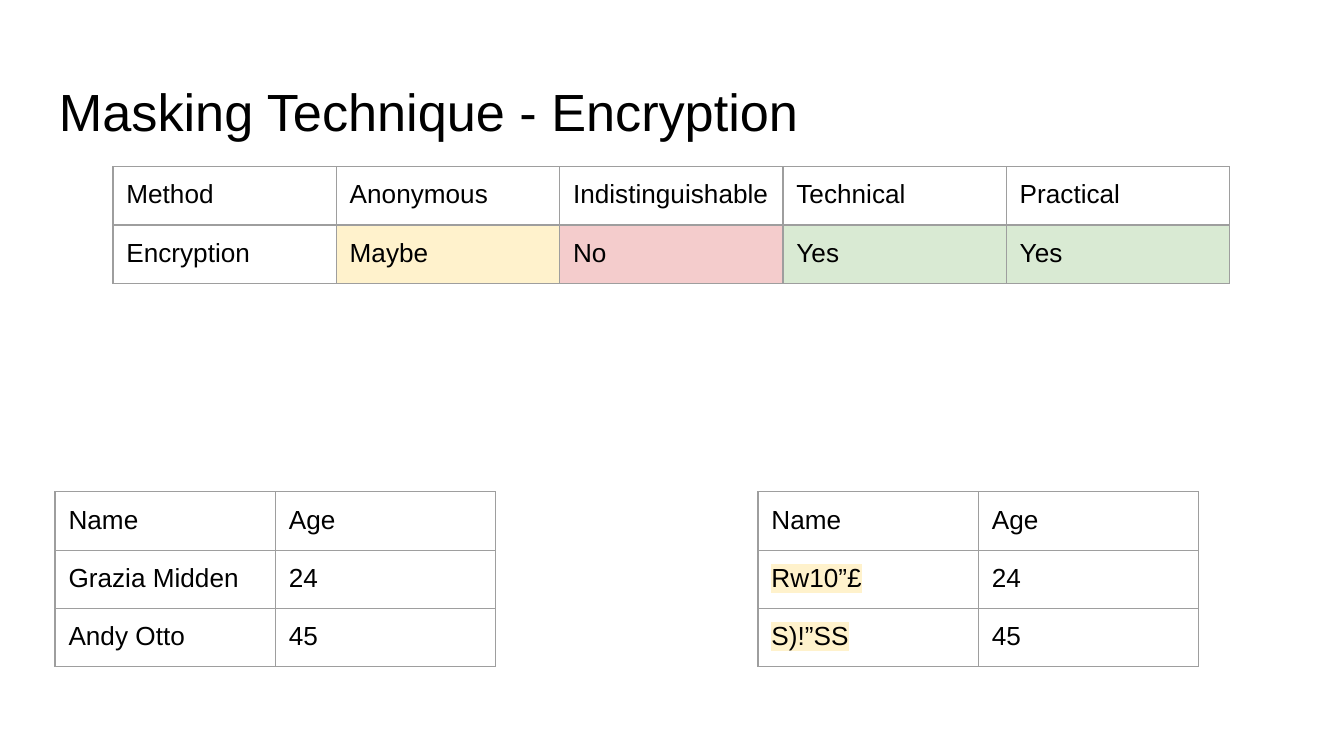
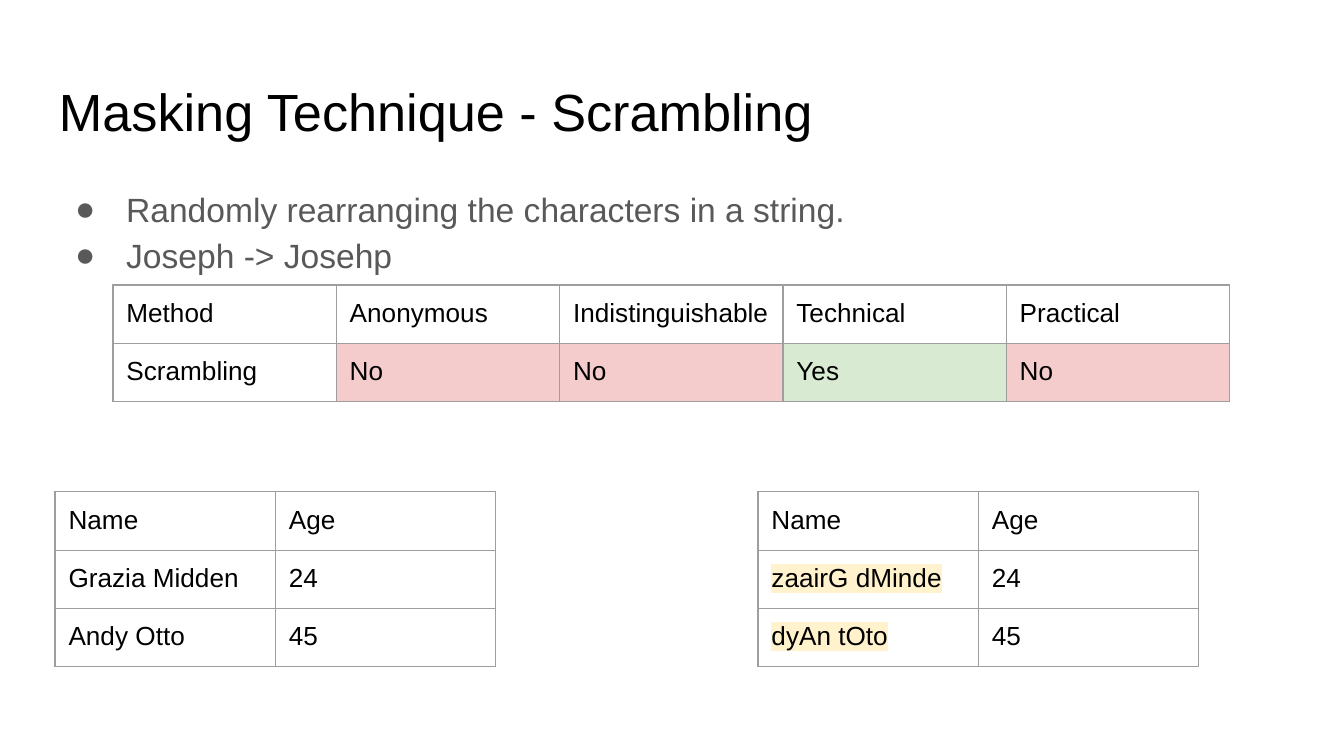
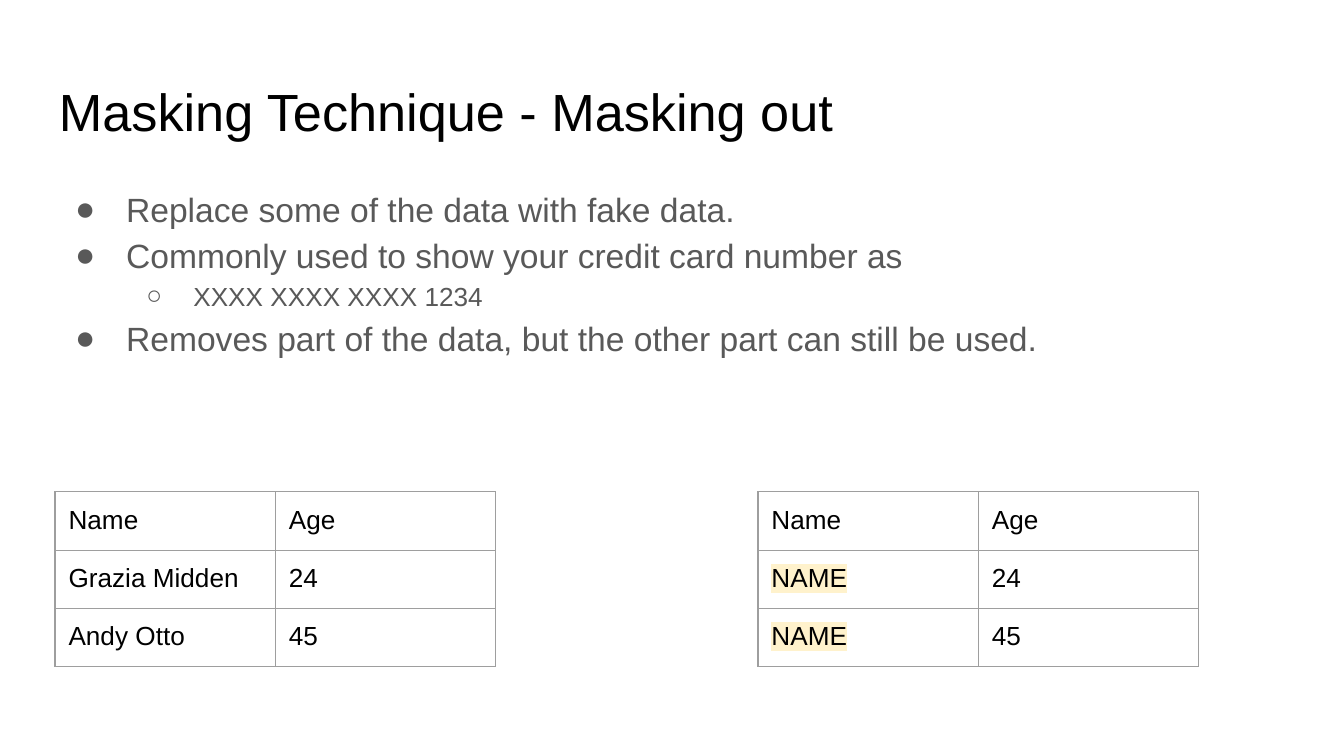
from dataclasses import dataclass

from lxml.etree import SubElement
from pptx import Presentation
from pptx.dml.color import RGBColor
from pptx.enum.text import MSO_ANCHOR
from pptx.oxml import parse_xml
from pptx.oxml.ns import nsdecls, qn
from pptx.util import Inches, Pt


@dataclass(frozen=True)
class Theme:
    font: str = "Arial"
    ink: str = "000000"
    body: str = "595959"
    border: str = "9E9E9E"
    border_width: float = 0.75
    highlight: str = "FFF2CC"
    title_size: int = 28
    body_size: int = 18
    small_size: int = 14
    line_spacing: float = 1.15


THEME = Theme()
INSET = Inches(0.1)
ROW_HEIGHT = Pt(30)
RATINGS = {"Yes": "D9EAD3", "No": "F4CCCC", "Maybe": "FFF2CC"}
CRITERIA = ["Method", "Anonymous", "Indistinguishable", "Technical", "Practical"]
NAMES = ["Grazia Midden", "Andy Otto"]
AGES = ["24", "45"]
BULLETS = [  # character, indent, hanging, size for each level
    ("●", 0.5, 0.38, THEME.body_size),
    ("○", 1, 0.35, THEME.small_size),
]


def style_runs(p, size, color):
    for r in p.runs:
        r.font.name = THEME.font
        r.font.size = Pt(size)
        r.font.color.rgb = RGBColor.from_string(color)


def add_text_frame(s, left, top, width, height):
    tf = s.shapes.add_textbox(
        Inches(left), Inches(top), Inches(width), Inches(height)).text_frame
    tf.word_wrap = True
    tf.vertical_anchor = MSO_ANCHOR.TOP
    tf.margin_left = tf.margin_right = tf.margin_top = tf.margin_bottom = INSET
    return tf


def add_title(s, text):
    tf = add_text_frame(s, 0.34, 0.49, 9.32, 0.63)
    tf.text = text
    style_runs(tf.paragraphs[0], THEME.title_size, THEME.ink)


def add_bullets(s, items):
    tf = add_text_frame(s, 0.34, 1.26, 9.32, 3.74)
    tf.text = "\n".join(text for text, _ in items)
    for p, (_, level) in zip(tf.paragraphs, items):
        char, indent, hanging, size = BULLETS[level]
        p.level = level
        p.line_spacing = THEME.line_spacing
        pPr = p._p.get_or_add_pPr()
        pPr.set("marL", str(Inches(indent)))
        pPr.set("indent", str(-Inches(hanging)))
        color = SubElement(pPr, qn("a:buClr"))
        SubElement(color, qn("a:srgbClr"), val=THEME.body)
        SubElement(pPr, qn("a:buSzPts"), val=str(size * 100))
        SubElement(pPr, qn("a:buFont"), typeface=THEME.font)
        SubElement(pPr, qn("a:buChar"), char=char)
        style_runs(p, size, THEME.body)


def set_borders(cell):
    tcPr = cell._tc.get_or_add_tcPr()
    for i, side in enumerate("LRTB"):
        tcPr.insert(i, parse_xml(
            f'<a:ln{side} {nsdecls("a")} w="{Pt(THEME.border_width)}"><a:solidFill>'
            f'<a:srgbClr val="{THEME.border}"/></a:solidFill></a:ln{side}>'))


def highlight(cell):
    for r in cell.text_frame.paragraphs[0].runs:
        mark = parse_xml(f'<a:highlight {nsdecls("a")}>'
                         f'<a:srgbClr val="{THEME.highlight}"/></a:highlight>')
        r.font._element.find(qn("a:latin")).addprevious(mark)


def add_grid(s, left, top, width, rows):
    table = s.shapes.add_table(
        len(rows), len(rows[0]), Inches(left), Inches(top),
        Inches(width), ROW_HEIGHT * len(rows)).table
    table.first_row = table.horz_banding = False
    for row, texts in zip(table.rows, rows):
        for cell, text in zip(row.cells, texts):
            cell.text = text
            cell.margin_left = cell.margin_right = INSET
            cell.margin_top = cell.margin_bottom = INSET
            cell.fill.background()
            set_borders(cell)
            style_runs(cell.text_frame.paragraphs[0], THEME.small_size, THEME.ink)
    return table


def add_people(s, left, names):
    return add_grid(s, left, 3.66, 3.28, [("Name", "Age"), *zip(names, AGES)])


def add_before_after(s, masked):
    add_people(s, 0.41, NAMES)
    table = add_people(s, 5.64, masked)
    for row in range(1, len(masked) + 1):
        highlight(table.cell(row, 0))


def add_ratings(s, top, method, ratings):
    table = add_grid(s, 0.84, top, 8.31, [CRITERIA, [method, *ratings]])
    table.rows[1].height = Inches(0.43)
    for col, rating in enumerate(ratings, 1):
        fill = table.cell(1, col).fill
        fill.solid()
        fill.fore_color.rgb = RGBColor.from_string(RATINGS[rating])


def add_technique(prs, name, masked, bullets=()):
    s = prs.slides.add_slide(prs.slide_layouts[6])
    add_title(s, f"Masking Technique - {name}")
    if bullets:
        add_bullets(s, bullets)
    add_before_after(s, masked)
    return s


def main():
    prs = Presentation()
    prs.slide_width = Inches(10)
    prs.slide_height = prs.slide_width * 9 // 16

    # Encryption
    s = add_technique(prs, "Encryption", ["Rw10”£", "S)!”SS"])
    add_ratings(s, 1.24, "Encryption", ["Maybe", "No", "Yes", "Yes"])

    # Scrambling
    s = add_technique(prs, "Scrambling", ["zaairG dMinde", "dyAn tOto"], [
        ("Randomly rearranging the characters in a string.", 0),
        ("Joseph -> Josehp", 0),
    ])
    add_ratings(s, 2.12, "Scrambling", ["No", "No", "Yes", "No"])

    # Masking out
    add_technique(prs, "Masking out", ["NAME", "NAME"], [
        ("Replace some of the data with fake data.", 0),
        ("Commonly used to show your credit card number as", 0),
        ("XXXX XXXX XXXX 1234", 1),
        ("Removes part of the data, but the other part can still be used.", 0),
    ])

    prs.save("out.pptx")


if __name__ == "__main__":
    main()
